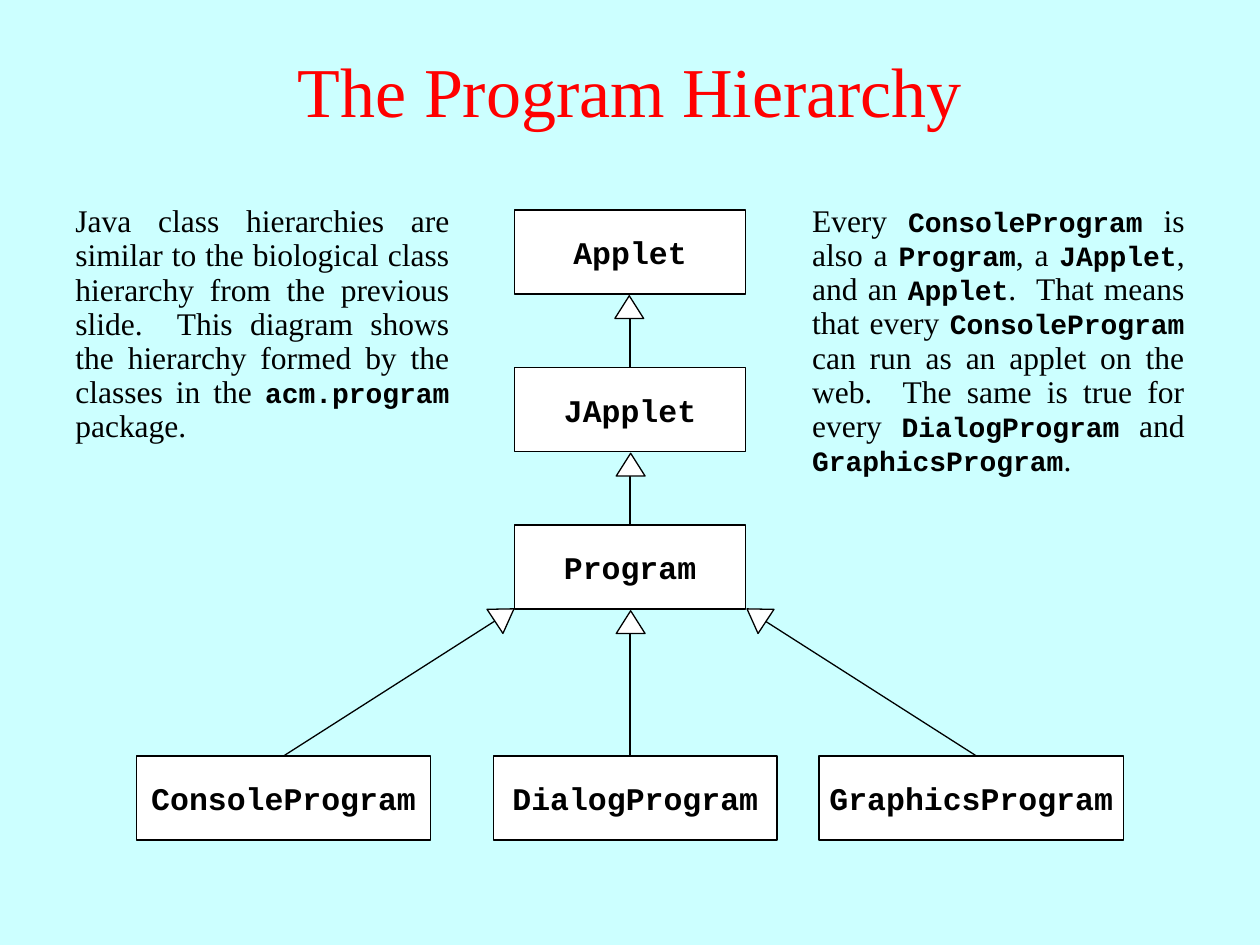
from pptx import Presentation
from pptx.dml.color import RGBColor
from pptx.enum.shapes import MSO_CONNECTOR, MSO_SHAPE
from pptx.enum.text import MSO_ANCHOR, PP_ALIGN
from pptx.oxml.ns import qn
from pptx.util import Pt
from lxml import etree

SERIF, MONO = "Times New Roman", "Courier New"


def color(hex_string):
    return RGBColor.from_string(hex_string)


def add_white_shape(kind, left, top, width, height):
    shape = page.shapes.add_shape(kind, Pt(left), Pt(top), Pt(width), Pt(height))
    shape.shadow.inherit = False
    shape.fill.solid()
    shape.fill.fore_color.rgb = color("FFFFFF")
    shape.line.color.rgb = color("000000")
    shape.line.width = Pt(0.75)
    return shape


deck = Presentation()
deck.slide_width, deck.slide_height = Pt(720), Pt(540)
page = deck.slides.add_slide(deck.slide_layouts[6])
page.background.fill.solid()
page.background.fill.fore_color.rgb = color("CCFFFF")

# Title
title = page.shapes.add_textbox(Pt(0), Pt(6), Pt(720), Pt(90))
title.text_frame.word_wrap = True
title.text_frame.vertical_anchor = MSO_ANCHOR.MIDDLE
para = title.text_frame.paragraphs[0]
para.text = "The Program Hierarchy"
para.alignment = PP_ALIGN.CENTER
para.font.name, para.font.size = SERIF, Pt(40)
para.font.color.rgb = color("FF0000")

# Class boxes: name, left, top, width
classes = [
    ("Applet", 294, 120, 132),
    ("JApplet", 294, 210, 132),
    ("Program", 294, 300, 132),
    ("DialogProgram", 282, 432, 162),
    ("GraphicsProgram", 468, 432, 174),
    ("ConsoleProgram", 78, 432, 168),
]
for name, left, top, width in classes:
    box = add_white_shape(MSO_SHAPE.RECTANGLE, left, top, width, 48)
    box.text_frame.word_wrap = False
    box.text_frame.vertical_anchor = MSO_ANCHOR.MIDDLE
    para = box.text_frame.paragraphs[0]
    para.text = name
    para.alignment = PP_ALIGN.CENTER
    para.font.name, para.font.size, para.font.bold = MONO, Pt(18), True
    para.font.color.rgb = color("000000")

# Inheritance lines: from subclass to superclass
lines = [
    (360, 210, 360, 174),
    (360, 300, 360, 264),
    (360, 432, 360, 354),
    (162, 432, 286.5, 352.5),
    (558, 432, 433.5, 352.5),
]
for start_x, start_y, end_x, end_y in lines:
    line = page.shapes.add_connector(
        MSO_CONNECTOR.STRAIGHT, Pt(start_x), Pt(start_y), Pt(end_x), Pt(end_y))
    line.line.color.rgb = color("000000")
    line.line.width = Pt(0.75)
    etree.SubElement(line._element.spPr, qn("a:effectLst"))

# Explanations: every second piece between bars is code
explanations = [
    (36, 228, 143,
     "Java class hierarchies are similar to the biological class hierarchy "
     "from the previous slide.  This diagram shows the hierarchy formed by "
     "the classes in the |acm.program| package."),
    (457, 227, 163,
     "Every |ConsoleProgram| is also a |Program|, a |JApplet|, and an "
     "|Applet|.  That means that every |ConsoleProgram| can run as an applet "
     "on the web.  The same is true for every |DialogProgram| and "
     "|GraphicsProgram|."),
]
for left, width, height, text in explanations:
    box = page.shapes.add_textbox(Pt(left), Pt(114), Pt(width), Pt(height))
    box.text_frame.word_wrap = True
    para = box.text_frame.paragraphs[0]
    para.alignment = PP_ALIGN.JUSTIFY
    para.line_spacing = 0.9
    for index, piece in enumerate(text.split("|")):
        is_code = index % 2 == 1
        span = para.add_run()
        span.text = piece
        span.font.name = MONO if is_code else SERIF
        span.font.size = Pt(16 if is_code else 18)
        span.font.bold = is_code
        span.font.color.rgb = color("000000")

# Hollow arrowheads: centre and rotation
arrowheads = [
    (359.6, 175.5, 0),
    (360.4, 265.5, 0),
    (360.4, 355.5, 0),
    (288.3, 351.5, 56.5),
    (432.3, 351.5, 303.5),
]
for center_x, center_y, angle in arrowheads:
    head = add_white_shape(
        MSO_SHAPE.ISOSCELES_TRIANGLE, center_x - 8.25, center_y - 6.5, 16.5, 13)
    head.rotation = angle

deck.save("out.pptx")
